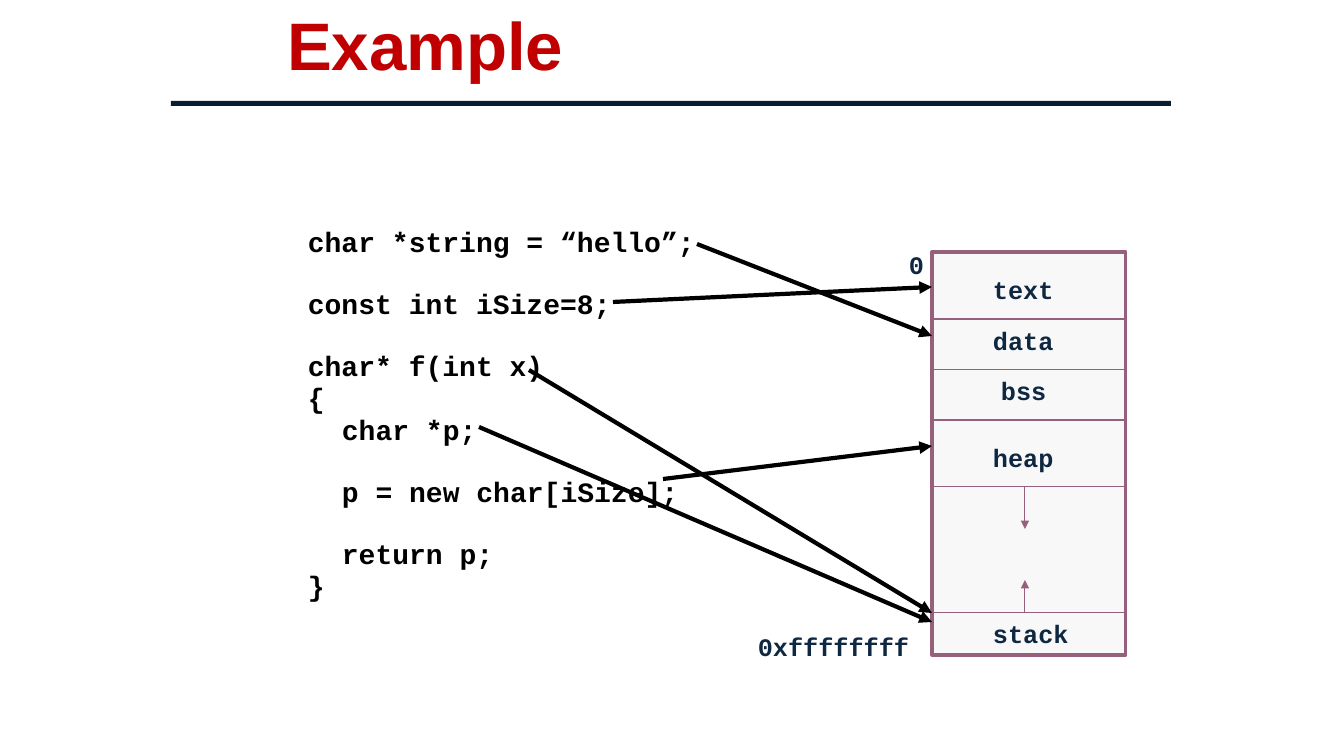
"""Build the slide that maps program variables to regions of process memory."""
from lxml import etree
from pptx import Presentation
from pptx import util as u
from pptx.dml.color import RGBColor
from pptx.enum import shapes, text
from pptx.oxml.ns import qn

PX = 9071.43
COLORS = {"title": "C00000", "code": "000000", "label": "0E2841",
          "memory": "F8F8F8", "border": "96607D", "rule": "0A1D30"}
MEMORY_LEFT, MEMORY_TOP, MEMORY_RIGHT, MEMORY_BOTTOM = 932, 252, 1126, 655
GROWTH_X = 1025
LINE_GAP, BLANK_GAP, CODE_INDENT = 1.2, 22.8, 34


def add_line(page, ends, color, width, arrow=False):
    line = page.shapes.add_connector(
        shapes.MSO_CONNECTOR.STRAIGHT, *[round(end * PX) for end in ends])
    line.line.color.rgb = RGBColor.from_string(COLORS[color])
    line.line.width = u.Pt(width)
    if arrow:
        etree.SubElement(line.line._get_or_add_ln(), qn("a:tailEnd"), type="triangle")
    etree.SubElement(line._element.spPr, qn("a:effectLst"))


def add_span(para, words, font, size, color):
    span = para.add_run()
    span.text = words
    span.font.name = font
    span.font.size = u.Pt(size)
    span.font.bold = True
    span.font.color.rgb = RGBColor.from_string(COLORS[color])


deck = Presentation()
deck.slide_width = round(1344 * PX)
deck.slide_height = round(756 * PX)
page = deck.slides.add_slide(deck.slide_layouts[5])

title = page.shapes.title
title.left, title.top, title.width, title.height = [
    round(length * PX) for length in (277, 0, 899, 97)]
title.text_frame.vertical_anchor = text.MSO_ANCHOR.MIDDLE
title.text_frame.auto_size = text.MSO_AUTO_SIZE.NONE
para = title.text_frame.paragraphs[0]
para.alignment = text.PP_ALIGN.LEFT
para.line_spacing = 0.9
add_span(para, "Example", "Arial", 48, "title")

code_lines = [
    ("char *string = “hello”;", 0, 0),
    ("const int iSize=8;", 0, BLANK_GAP),
    ("char* f(int x)", 0, BLANK_GAP),
    ("{", 0, LINE_GAP),
    ("char *p;", CODE_INDENT, LINE_GAP),
    ("p = new char[iSize];", CODE_INDENT, BLANK_GAP),
    ("return p;", CODE_INDENT, BLANK_GAP),
    ("}", 0, LINE_GAP),
]
box = page.shapes.add_textbox(*[round(length * PX) for length in (298, 223, 601, 454)])
box.text_frame.word_wrap = True
for index, (words, indent, gap) in enumerate(code_lines):
    para = box.text_frame.add_paragraph() if index else box.text_frame.paragraphs[0]
    para.line_spacing = 0.9
    para.space_before = u.Pt(gap)
    para._p.get_or_add_pPr().set("marL", str(round(indent * PX)))
    add_span(para, words, "Courier New", 20, "code")

memory = page.shapes.add_shape(
    shapes.MSO_SHAPE.RECTANGLE, *[round(length * PX) for length in (
        MEMORY_LEFT, MEMORY_TOP, MEMORY_RIGHT - MEMORY_LEFT, MEMORY_BOTTOM - MEMORY_TOP)])
memory.shadow.inherit = False
memory.fill.solid()
memory.fill.fore_color.rgb = RGBColor.from_string(COLORS["memory"])
memory.line.color.rgb = RGBColor.from_string(COLORS["border"])
memory.line.width = u.Pt(2.25)

for divider in (319, 370, 420, 487, 613):
    add_line(page, (MEMORY_LEFT, divider, MEMORY_RIGHT, divider), "border", 0.75)
for start, end in ((487, 529), (613, 580)):
    add_line(page, (GROWTH_X, start, GROWTH_X, end), "border", 0.75, arrow=True)

labels = [
    ("0xffffffff", 748, 626, 180),
    ("0", 899, 244, 42),
    ("text", 983, 269, 118),
    ("data", 983, 320, 126),
    ("bss", 991, 370, 84),
    ("heap", 983, 437, 118),
    ("stack", 983, 613, 126),
]
for words, left, top, width in labels:
    box = page.shapes.add_textbox(*[round(length * PX) for length in (left, top, width, 40)])
    box.text_frame.word_wrap = True
    add_span(box.text_frame.paragraphs[0], words, "Courier New", 18, "label")

for left, top, target in ((697, 244, 336), (613, 302, 287), (479, 427, 622),
                          (663, 479, 446), (529, 370, 613)):
    add_line(page, (left, top, MEMORY_LEFT, target), "code", 3, arrow=True)

rule = page.shapes.add_shape(
    shapes.MSO_SHAPE.RECTANGLE, *[round(length * PX) for length in (171, 101, 1000, 5)])
rule.shadow.inherit = False
rule.fill.solid()
rule.fill.fore_color.rgb = RGBColor.from_string(COLORS["rule"])
rule.line.fill.background()

deck.save("out.pptx")
